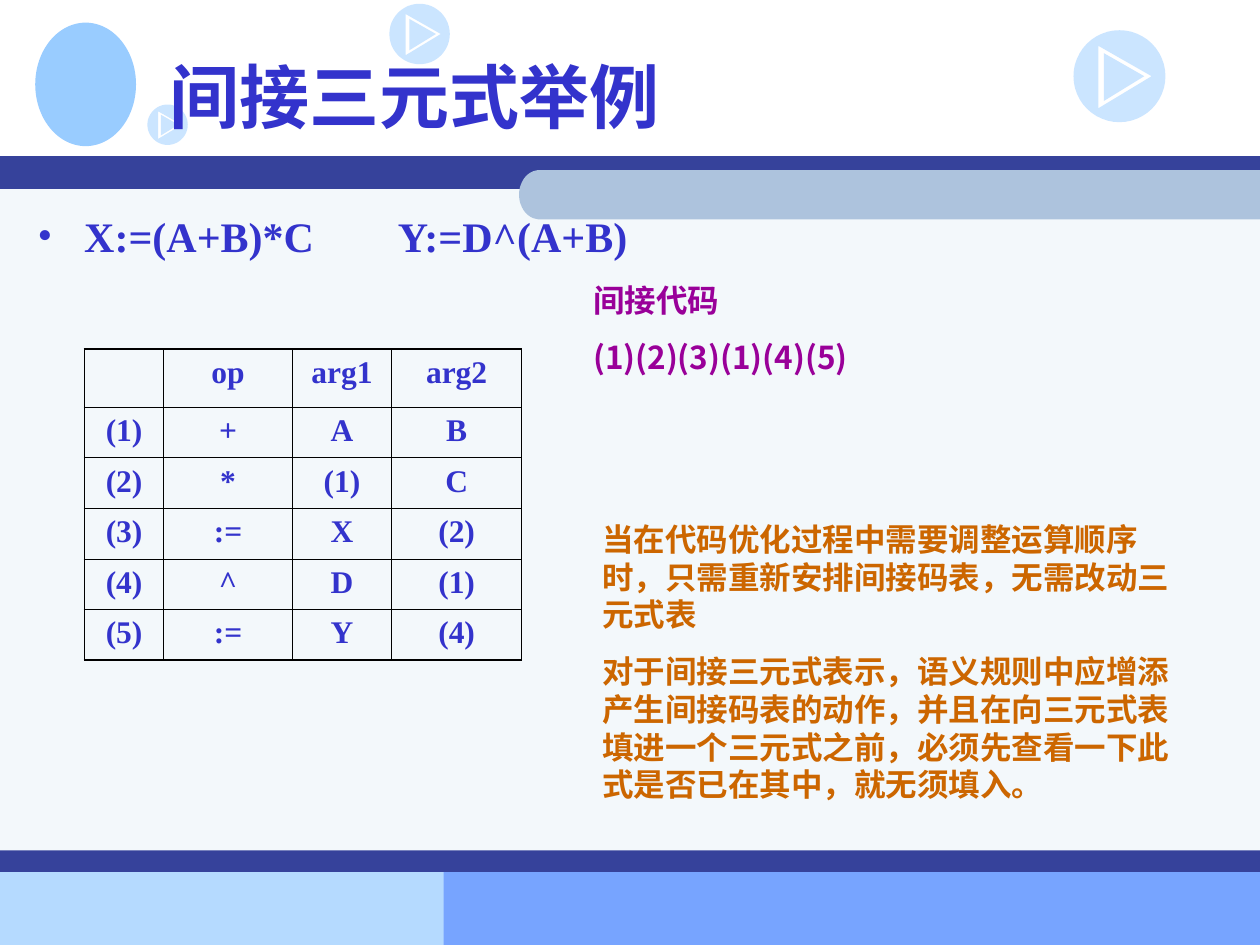
from math import cos, pi, sin

from lxml.etree import SubElement
from pptx import Presentation
from pptx.dml.color import RGBColor
from pptx.enum.shapes import MSO_SHAPE
from pptx.enum.text import MSO_ANCHOR, PP_ALIGN
from pptx.oxml.ns import qn
from pptx.util import Inches, Pt

BLUE = RGBColor(0x33, 0x33, 0xCC)
SKY = RGBColor(0x99, 0xCC, 0xFF)
NAVY = RGBColor(0x36, 0x42, 0x9B)
PALE = RGBColor(0xF3, 0xF8, 0xFB)
STEEL = RGBColor(0xAD, 0xC3, 0xDD)
FOOT_LEFT = RGBColor(0xB5, 0xDA, 0xFF)
FOOT_RIGHT = RGBColor(0x77, 0xA4, 0xFF)
PURPLE = RGBColor(0x99, 0x00, 0x99)
ORANGE = RGBColor(0xCC, 0x66, 0x00)
SANS = "Noto Sans CJK SC"
SERIF = "Times New Roman"
UNITS = 1000

TITLE = "间接三元式举例"
FORMULAS = "X:=(A+B)*C\tY:=D^(A+B)"
CODE = ["间接代码", "(1)(2)(3)(1)(4)(5)"]
REMARKS = [
    "当在代码优化过程中需要调整运算顺序时，只需重新安排间接码表，无需改动三元式表",
    "对于间接三元式表示，语义规则中应增添产生间接码表的动作，并且在向三元式表"
    "填进一个三元式之前，必须先查看一下此式是否已在其中，就无须填入。",
]
TRIPLES = [
    ["", "op", "arg1", "arg2"],
    ["(1)", "+", "A", "B"],
    ["(2)", "*", "(1)", "C"],
    ["(3)", ":=", "X", "(2)"],
    ["(4)", "^", "D", "(1)"],
    ["(5)", ":=", "Y", "(4)"],
]
COL_WIDTHS = [0.63, 1.02, 0.79, 1.03]
TABLE_HEIGHT, HEAD_HEIGHT = 2.47, 0.46
BANDS = [
    (0, 6.92, 4.25, 0.58, FOOT_LEFT),
    (3.52, 6.91, 6.48, 0.59, FOOT_RIGHT),
    (0, 1.4, 10, 5.51, PALE),
    (0, 1.24, 10, 0.26, NAVY),
    (0, 6.75, 10, 0.17, NAVY),
]
PLAY_ICONS = [(3.09, 0.03, 0.48), (8.52, 0.24, 0.73), (1.17, 0.83, 0.32)]
OUTER_TRIANGLE = [(0.27, 0.17), (0.85, 0.5), (0.27, 0.85)]
INNER_TRIANGLE = [(0.33, 0.25), (0.77, 0.5), (0.33, 0.77)]


def paint(sp, color):
    sp.shadow.inherit = False
    sp.fill.solid()
    sp.fill.fore_color.rgb = color
    sp.line.fill.background()


def add_preset(s, kind, x, y, w, h, color):
    sp = s.shapes.add_shape(kind, Inches(x), Inches(y), Inches(w), Inches(h))
    paint(sp, color)


def arc(cx, cy, rx, ry, start, end, steps=48):
    angles = [start + (end - start) * i / steps for i in range(steps + 1)]
    return [(cx + rx * cos(a), cy + ry * sin(a)) for a in angles]


def add_outline(s, contours, color):
    scaled = [[(x * UNITS, y * UNITS) for x, y in points] for points in contours]
    builder = s.shapes.build_freeform(*scaled[0][0], scale=Inches(1) / UNITS)
    for i, points in enumerate(scaled):
        if i:
            builder.move_to(*points[0])
        builder.add_line_segments(points[1:], close=True)
    sp = builder.convert_to_shape()
    paint(sp, color)
    return sp


def add_play_icon(s, x, y, size):
    r = size / 2
    triangles = [[(x + u * size, y + v * size) for u, v in triangle]
                 for triangle in (OUTER_TRIANGLE, INNER_TRIANGLE)]
    circle = arc(x + r, y + r, r, r, 0, 2 * pi)
    sp = add_outline(s, [circle] + triangles, SKY)
    color = sp.fill._xPr.find(qn("a:solidFill"))[0]
    SubElement(color, qn("a:alpha")).set("val", "50000")


def style(p, font, size, color):
    for r in p.runs:
        r.font.name = font
        r.font.size = Pt(size)
        r.font.bold = True
        r.font.color.rgb = color
        SubElement(r._r.get_or_add_rPr(), qn("a:ea")).set("typeface", font)


def add_text(s, x, y, w, h, lines, font, size, color, gap=0, pitch=None):
    tf = s.shapes.add_textbox(Inches(x), Inches(y), Inches(w), Inches(h)).text_frame
    tf.word_wrap = True
    tf.text = "\n".join(lines)
    for i, p in enumerate(tf.paragraphs):
        p._p.get_or_add_pPr().set("hangingPunct", "0")
        if i:
            p.space_before = Pt(gap)
        if pitch:
            p.line_spacing = Pt(pitch)
        style(p, font, size, color)
    return tf


def add_bullet(p, indent, tab):
    pPr = p._p.get_or_add_pPr()
    pPr.set("marL", str(Inches(indent)))
    pPr.set("indent", str(-Inches(indent)))
    SubElement(pPr, qn("a:buFont")).set("typeface", SERIF)
    SubElement(pPr, qn("a:buChar")).set("char", "•")
    stops = SubElement(pPr, qn("a:tabLst"))
    stop = SubElement(stops, qn("a:tab"))
    stop.set("pos", str(Inches(tab)))
    stop.set("algn", "l")


def set_border(cell, side, width):
    ln = SubElement(cell._tc.get_or_add_tcPr(), qn(f"a:ln{side}"))
    ln.set("w", str(Pt(width)))
    fill = SubElement(ln, qn("a:solidFill"))
    SubElement(fill, qn("a:srgbClr")).set("val", "000000")


def add_triples(s, x, y):
    rows, cols = len(TRIPLES), len(COL_WIDTHS)
    frame = s.shapes.add_table(rows, cols, Inches(x), Inches(y),
                               Inches(sum(COL_WIDTHS)), Inches(TABLE_HEIGHT))
    table = frame.table
    table.first_row = table.horz_banding = False
    for column, width in zip(table.columns, COL_WIDTHS):
        column.width = Inches(width)
    body_height = (TABLE_HEIGHT - HEAD_HEIGHT) / (rows - 1)
    for i, row in enumerate(table.rows):
        row.height = Inches(body_height if i else HEAD_HEIGHT)
    for i, values in enumerate(TRIPLES):
        for j, value in enumerate(values):
            cell = table.cell(i, j)
            edges = {"L": j == 0, "R": j == cols - 1, "T": i == 0, "B": i == rows - 1}
            for side, outer in edges.items():
                set_border(cell, side, 1.08 if outer else 0.45)
            cell.fill.background()
            cell.text = value
            p = cell.text_frame.paragraphs[0]
            p.alignment = PP_ALIGN.CENTER
            style(p, SERIF, 18, BLUE)


def main():
    prs = Presentation()
    prs.slide_width, prs.slide_height = Inches(10), Inches(7.5)
    s = prs.slides.add_slide(prs.slide_layouts[6])
    for band in BANDS:
        add_preset(s, MSO_SHAPE.RECTANGLE, *band)
    rounded_end = arc(4.28, 1.545, 0.16, 0.195, pi / 2, 3 * pi / 2)
    add_outline(s, [[(10, 1.74)] + rounded_end + [(10, 1.35)]], STEEL)
    add_preset(s, MSO_SHAPE.OVAL, 0.28, 0.18, 0.8, 0.98, SKY)
    for icon in PLAY_ICONS:
        add_play_icon(s, *icon)

    title = add_text(s, 1.25, 0.17, 8.5, 1.17, [TITLE], SANS, 40, BLUE)
    title.vertical_anchor = MSO_ANCHOR.MIDDLE
    body = add_text(s, 0.2, 1.62, 9.61, 4.96, [FORMULAS], SERIF, 24, BLUE)
    add_bullet(body.paragraphs[0], 0.37, 2.86)
    add_triples(s, 0.67, 2.77)
    add_text(s, 4.61, 2.18, 2.84, 0.86, CODE, SANS, 18, PURPLE, 11.2, 21.5)
    add_text(s, 4.68, 4.08, 4.88, 2.36, REMARKS, SANS, 18, ORANGE, 11.2, 21.5)
    prs.save("out.pptx")


if __name__ == "__main__":
    main()
